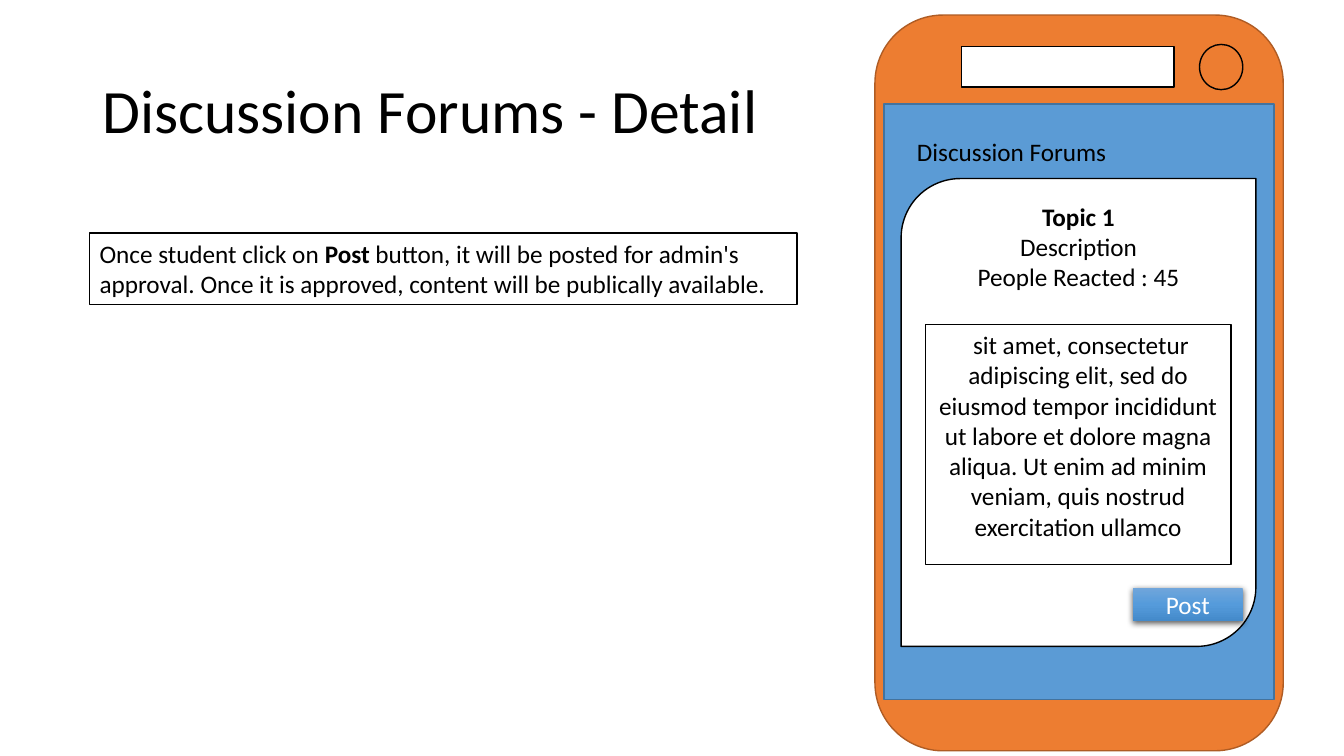
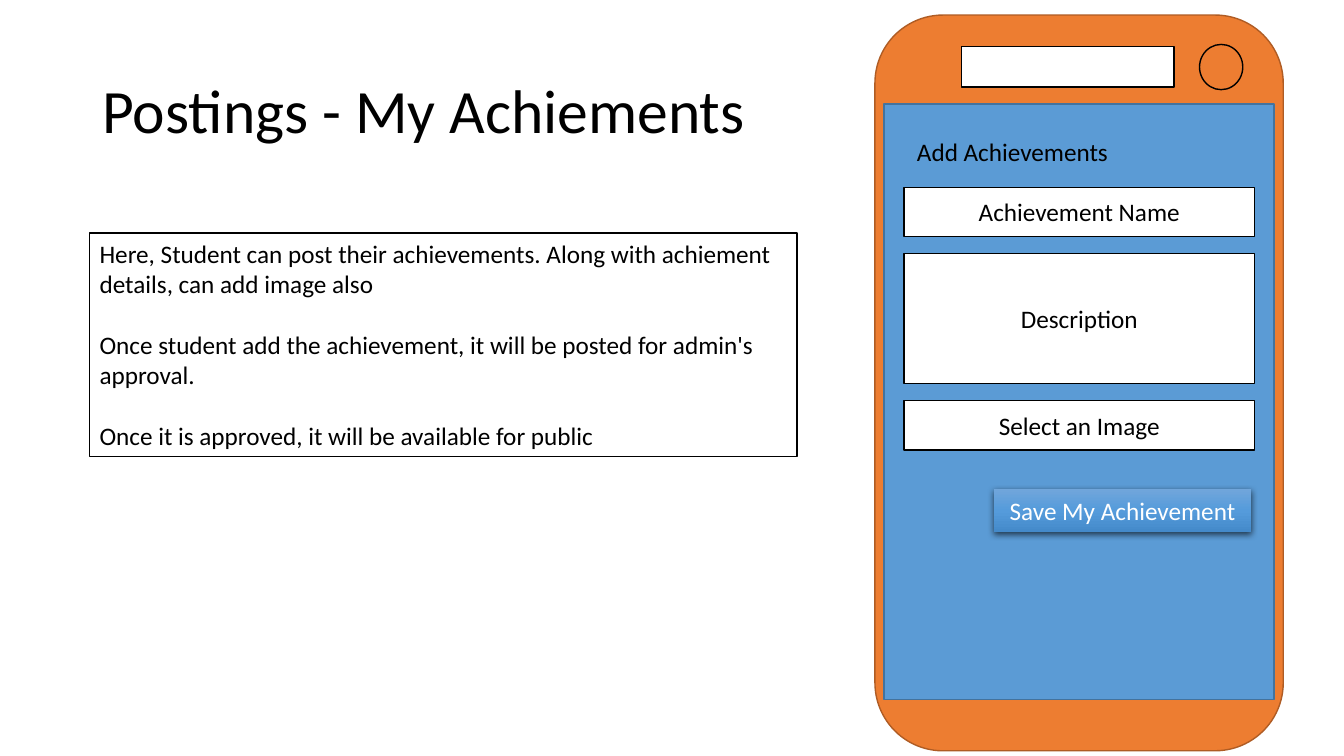
from dataclasses import dataclass
from typing import NamedTuple

from pptx import Presentation
from pptx.dml.color import RGBColor
from pptx.enum.shapes import MSO_SHAPE
from pptx.enum.text import MSO_ANCHOR, PP_ALIGN
from pptx.oxml import parse_xml
from pptx.oxml.ns import nsdecls, qn
from pptx.shapes.autoshape import Shape
from pptx.slide import Slide
from pptx.util import Cm, Pt

COLORS = {
    "black": "000000",
    "white": "FFFFFF",
    "case": "ED7D31",
    "case_line": "AF5C24",
    "screen": "5B9BD5",
    "screen_line": "43739E",
    "button_top": "71A6DB",
    "button_middle": "559BDB",
    "button_bottom": "448ACA",
}
FONT = "Calibri"
FIELD_LEFT, FIELD_TOP, FIELD_WIDTH, FIELD_GAP = 22.78, 4.72, 8.84, 0.43


class Box(NamedTuple):
    left: float
    top: float
    width: float
    height: float


class Words(NamedTuple):
    text: str
    bold: bool = False


Paragraphs = list[list[Words]]


@dataclass(frozen=True)
class Style:
    size: float = 18
    color: str = "black"
    align: PP_ALIGN = PP_ALIGN.LEFT
    anchor: MSO_ANCHOR = MSO_ANCHOR.TOP
    line_spacing: float = 1.0
    gap: float = 0


@dataclass(frozen=True)
class Panel:
    box: Box
    kind: MSO_SHAPE = MSO_SHAPE.RECTANGLE
    fill: str = "white"
    line: str = "black"


@dataclass(frozen=True)
class Field:
    label: str
    height: float


TITLE = Style(size=44, anchor=MSO_ANCHOR.MIDDLE, line_spacing=0.9)
BODY = Style()
NOTE = Style(gap=22)
CARD = Style(align=PP_ALIGN.CENTER)
LABEL = Style(align=PP_ALIGN.CENTER, anchor=MSO_ANCHOR.MIDDLE)
BUTTON = Style(color="white", align=PP_ALIGN.CENTER, anchor=MSO_ANCHOR.MIDDLE)

PHONE = [
    Panel(Box(22.05, 0.38, 10.29, 18.54), MSO_SHAPE.ROUNDED_RECTANGLE, "case", "case_line"),
    Panel(Box(24.23, 1.17, 5.36, 1.02)),
    Panel(Box(30.23, 1.12, 1.09, 1.14), MSO_SHAPE.OVAL, "case"),
    Panel(Box(22.28, 2.62, 9.83, 15.01), fill="screen", line="screen_line"),
]
FIELDS = [
    Field("Achievement Name", 1.24),
    Field("Description", 3.28),
    Field("Select an Image", 1.24),
]


def color(name: str) -> RGBColor:
    return RGBColor.from_string(COLORS[name])


def lengths(box: Box) -> list[Cm]:
    return [Cm(value) for value in box]


def write(shape: Shape, paragraphs: Paragraphs, style: Style) -> None:
    frame = shape.text_frame
    frame.word_wrap = True
    frame.vertical_anchor = style.anchor
    for index, words in enumerate(paragraphs):
        paragraph = frame.add_paragraph() if index else frame.paragraphs[0]
        paragraph.alignment = style.align
        paragraph.line_spacing = style.line_spacing
        paragraph.space_before = Pt(style.gap if index else 0)
        paragraph.font.name = FONT
        paragraph.font.size = Pt(style.size)
        paragraph.font.color.rgb = color(style.color)
        for part in words:
            run = paragraph.add_run()
            run.text = part.text
            if part.bold:
                run.font.bold = True


def add_text(slide: Slide, box: Box, text: str, style: Style) -> None:
    write(slide.shapes.add_textbox(*lengths(box)), [[Words(text)]], style)


def add_panel(slide: Slide, panel: Panel) -> Shape:
    shape = slide.shapes.add_shape(panel.kind, *lengths(panel.box))
    shape.shadow.inherit = False
    shape.fill.solid()
    shape.fill.fore_color.rgb = color(panel.fill)
    shape.line.color.rgb = color(panel.line)
    shape.line.width = Pt(1)
    return shape


def add_button(slide: Slide, box: Box, text: str) -> None:
    shape = slide.shapes.add_shape(MSO_SHAPE.RECTANGLE, *lengths(box))
    shape.line.fill.background()
    shape.shadow.inherit = False
    shape.fill.gradient()
    shape.fill.gradient_angle = 270
    properties = shape.element.spPr
    stops = "".join(
        f'<a:gs pos="{position}"><a:srgbClr val="{COLORS[name]}"/></a:gs>'
        for position, name in ((0, "button_top"), (50000, "button_middle"), (100000, "button_bottom"))
    )
    gradient = properties.find(qn("a:gradFill"))
    gradient.replace(
        gradient.find(qn("a:gsLst")),
        parse_xml(f'<a:gsLst {nsdecls("a")}>{stops}</a:gsLst>'),
    )
    properties.find(qn("a:effectLst")).append(parse_xml(
        f'<a:outerShdw {nsdecls("a")} blurRad="{Pt(4.5)}" dist="{Pt(1.5)}" dir="5400000"'
        f' algn="ctr" rotWithShape="0"><a:srgbClr val="{COLORS["black"]}">'
        '<a:alpha val="63000"/></a:srgbClr></a:outerShdw>'
    ))
    write(shape, [[Words(text)]], BUTTON)


def add_phone_slide(
    presentation: Presentation, title: str, header: str, note: Paragraphs, note_height: float
) -> Slide:
    slide = presentation.slides.add_slide(presentation.slide_layouts[6])
    add_text(slide, Box(2.33, 1.02, 29.21, 3.68), title, TITLE)
    for panel in PHONE:
        add_panel(slide, panel)
    add_text(slide, Box(22.86, 3.3, 6.35, 1.02), header, BODY)
    write(add_panel(slide, Panel(Box(2.26, 5.87, 17.83, note_height))), note, NOTE)
    return slide


def add_forum_slide(presentation: Presentation) -> None:
    note = [[
        Words("Once student click on "),
        Words("Post", True),
        Words(
            " button, it will be posted for admin's approval. "
            "Once it is approved, content will be publically available."
        ),
    ]]
    slide = add_phone_slide(
        presentation, "Discussion Forums - Detail", "Discussion Forums", note, 1.8
    )
    card = add_panel(
        slide, Panel(Box(22.71, 4.5, 8.94, 11.79), MSO_SHAPE.ROUND_2_DIAG_RECTANGLE)
    )
    topic = [[Words("Topic 1", True)], [Words("Description")], [Words("People Reacted : 45")]]
    write(card, topic, CARD)
    add_button(slide, Box(28.55, 14.81, 2.77, 0.84), "Post")
    post = (
        " sit amet, consectetur adipiscing elit, sed do eiusmod tempor incididunt "
        "ut labore et dolore magna aliqua. Ut enim ad minim veniam, quis nostrud "
        "exercitation ullamco"
    )
    write(add_panel(slide, Panel(Box(23.32, 8.18, 7.7, 6.05))), [[Words(post)]], CARD)


def add_achievement_slide(presentation: Presentation) -> None:
    note = [
        [Words(
            "Here, Student can post their achievements. "
            "Along with achiement details, can add image also"
        )],
        [Words("Once student add the achievement, it will be posted for admin's approval.")],
        [Words("Once it is approved, it will be available for public")],
    ]
    slide = add_phone_slide(
        presentation, "Postings - My Achiements", "Add Achievements", note, 5.64
    )
    add_button(slide, Box(25.04, 12.32, 6.5, 1.09), "Save My Achievement")
    top = FIELD_TOP
    for field in FIELDS:
        shape = add_panel(slide, Panel(Box(FIELD_LEFT, top, FIELD_WIDTH, field.height)))
        write(shape, [[Words(field.label)]], LABEL)
        top += field.height + FIELD_GAP


def main() -> None:
    presentation = Presentation()
    presentation.slide_width = Cm(33.87)
    presentation.slide_height = Cm(19.05)
    add_forum_slide(presentation)
    add_achievement_slide(presentation)
    presentation.save("out.pptx")


if __name__ == "__main__":
    main()
